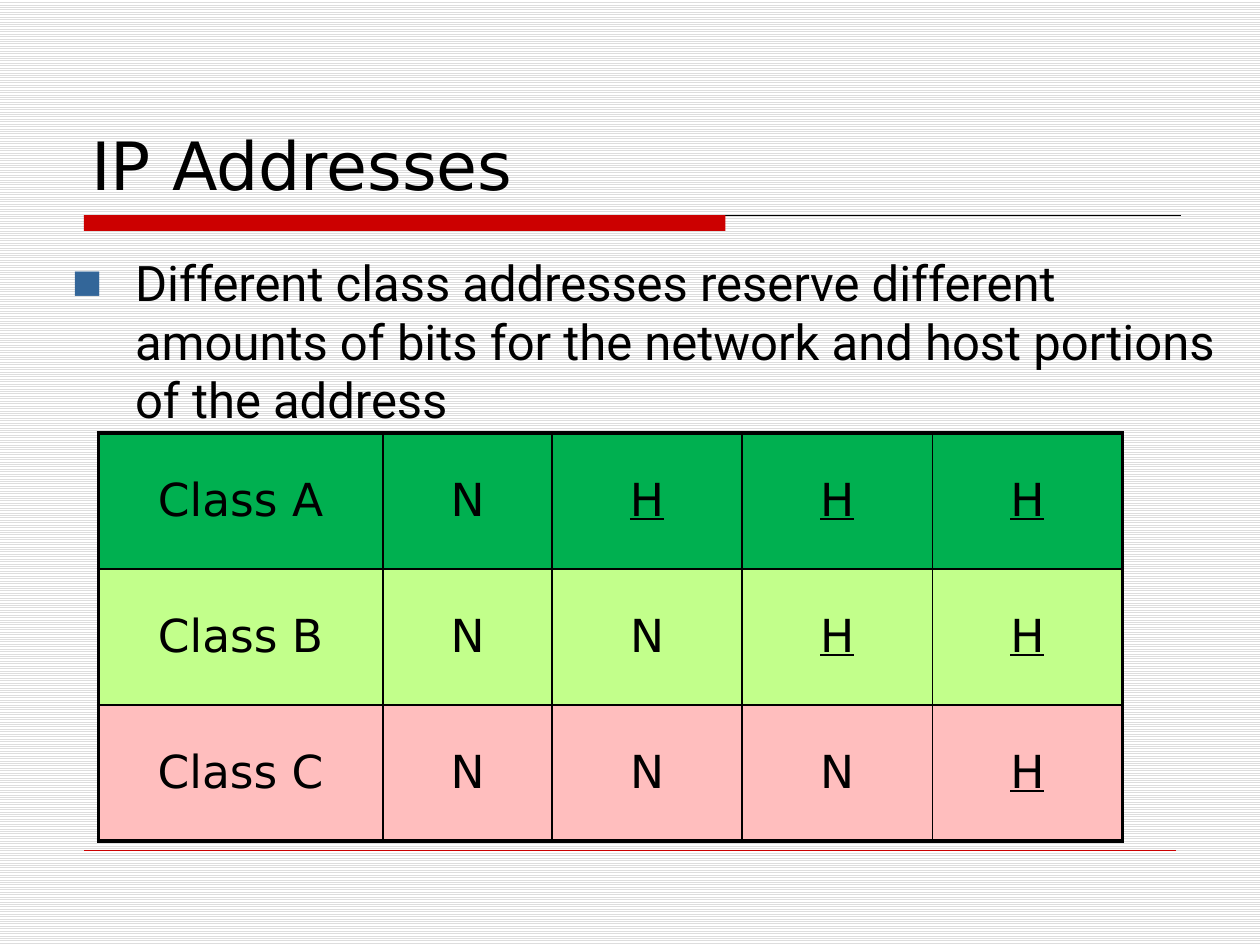
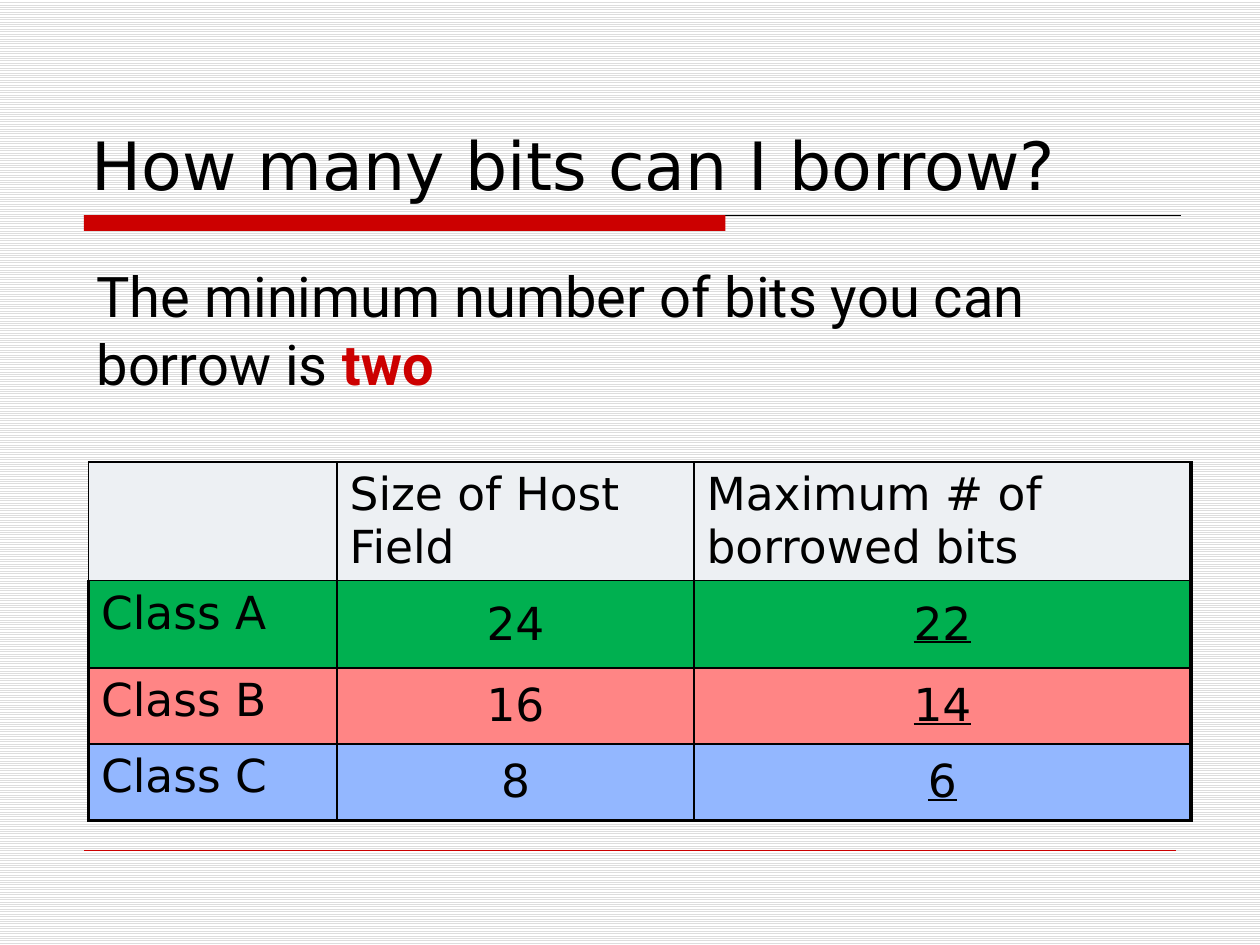
from dataclasses import dataclass

from lxml.etree import SubElement
from pptx import Presentation
from pptx.dml.color import RGBColor
from pptx.enum.dml import MSO_PATTERN
from pptx.enum.shapes import MSO_CONNECTOR, MSO_SHAPE
from pptx.enum.text import MSO_ANCHOR as Anchor, MSO_AUTO_SIZE, PP_ALIGN as Align
from pptx.oxml import parse_xml
from pptx.oxml.ns import nsdecls, qn
from pptx.util import Pt


@dataclass(frozen=True)
class Theme:
    text: str = "000000"
    accent: str = "CC0000"
    bullet: str = "336699"
    stripe: str = "DDDDDD"
    paper: str = "FFFFFF"
    header: str = "EDF0F3"
    green: str = "00B050"
    lime: str = "C2FF8B"
    pink: str = "FFBEBE"
    coral: str = "FF8585"
    blue: str = "93B7FF"
    heading_font: str = "DejaVu Sans"
    body_font: str = "Roboto"
    title_size: float = 38
    lead_size: float = 32
    body_size: float = 28
    cell_size: float = 26
    thin: float = 1
    thick: float = 2.25


T = Theme()


@dataclass(frozen=True)
class Box:
    left: float
    top: float
    width: float
    height: float

    def lengths(self) -> tuple:
        return Pt(self.left), Pt(self.top), Pt(self.width), Pt(self.height)


@dataclass(frozen=True)
class Rule:
    left: float
    right: float
    y: float
    color: str
    weight: float


@dataclass(frozen=True)
class Row:
    texts: tuple
    fill: str
    height: float


@dataclass(frozen=True)
class ClassTable:
    left: float
    top: float
    widths: tuple
    rows: tuple
    underlined: tuple
    left_labels: bool
    top_edge: float


TITLE = Box(45, 24, 630, 96)
BAND = Box(48, 123, 366.5, 9)
RULES = (
    Rule(48, 674.6, 123, T.text, 0.75),
    Rule(48, 672, 486, T.accent, 0.25),
)

PORTIONS = ClassTable(
    56.25, 247.5, (162.7, 96.5, 108.7, 108.7, 108.7),
    (
        Row(("Class A", "N", "H", "H", "H"), T.green, 77.7),
        Row(("Class B", "N", "N", "H", "H"), T.lime, 77.7),
        Row(("Class C", "N", "N", "N", "H"), T.pink, 77.7),
    ),
    underlined=("H",), left_labels=False, top_edge=T.thick,
)

BORROWED = ClassTable(
    50.6, 264, (142, 204, 284),
    (
        Row(("", "Size of Host Field", "Maximum # of borrowed bits"), T.header, 67.8),
        Row(("Class A", "24", "22"), T.green, 50),
        Row(("Class B", "16", "14"), T.coral, 43.5),
        Row(("Class C", "8", "6"), T.blue, 43.5),
    ),
    underlined=("22", "14", "6"), left_labels=True, top_edge=T.thin,
)


def rgb(color: str) -> RGBColor:
    return RGBColor.from_string(color)


def add_run(p, text: str, *, size: float, font: str, color: str = T.text,
            bold: bool = False, underline: bool = False) -> None:
    r = p.add_run()
    r.text = text
    f = r.font
    f.size, f.name, f.bold, f.underline = Pt(size), font, bold, underline
    f.color.rgb = rgb(color)


def place(sp, box: Box, anchor: Anchor):
    sp.left, sp.top, sp.width, sp.height = box.lengths()
    tf = sp.text_frame
    tf.word_wrap = True
    tf.auto_size = MSO_AUTO_SIZE.NONE
    tf.vertical_anchor = anchor
    p = tf.paragraphs[0]
    p.alignment = Align.LEFT
    p.space_before = Pt(0)
    return p


def set_bullet(p, char: str = "", indent: float = 0) -> None:
    pPr = p._p.get_or_add_pPr()
    pPr.set("marL", str(Pt(indent)))
    pPr.set("indent", str(-Pt(indent)))
    if not char:
        SubElement(pPr, qn("a:buNone"))
        return
    SubElement(SubElement(pPr, qn("a:buClr")), qn("a:srgbClr"), val=T.bullet)
    SubElement(pPr, qn("a:buSzPct"), val="65000")
    SubElement(pPr, qn("a:buFont"), typeface=T.heading_font)
    SubElement(pPr, qn("a:buChar"), char=char)


def add_rule(s, rule: Rule) -> None:
    line = s.shapes.add_connector(
        MSO_CONNECTOR.STRAIGHT, Pt(rule.left), Pt(rule.y), Pt(rule.right), Pt(rule.y))
    line.line.color.rgb = rgb(rule.color)
    line.line.width = Pt(rule.weight)
    SubElement(line._element.spPr, qn("a:effectLst"))


def add_slide(prs, title: str):
    s = prs.slides.add_slide(prs.slide_layouts[1])
    for rule in RULES:
        add_rule(s, rule)
    band = s.shapes.add_shape(MSO_SHAPE.RECTANGLE, *BAND.lengths())
    band.shadow.inherit = False
    band.fill.solid()
    band.fill.fore_color.rgb = rgb(T.accent)
    band.line.fill.background()
    p = place(s.shapes.title, TITLE, Anchor.BOTTOM)
    add_run(p, title, size=T.title_size, font=T.heading_font)
    return s


def set_borders(cell, widths: dict) -> None:
    tcPr = cell._tc.get_or_add_tcPr()
    for i, (side, width) in enumerate(widths.items()):
        tcPr.insert(i, parse_xml(
            f'<a:ln{side} {nsdecls("a")} w="{Pt(width)}"><a:solidFill>'
            f'<a:srgbClr val="{T.text}"/></a:solidFill></a:ln{side}>'))


def add_class_table(s, spec: ClassTable) -> None:
    box = Box(spec.left, spec.top, sum(spec.widths), sum(row.height for row in spec.rows))
    last_row, last_col = len(spec.rows) - 1, len(spec.widths) - 1
    table = s.shapes.add_table(last_row + 1, last_col + 1, *box.lengths()).table
    table.first_row = table.horz_banding = False
    for column, width in zip(table.columns, spec.widths):
        column.width = Pt(width)
    for i, row in enumerate(spec.rows):
        table.rows[i].height = Pt(row.height)
        for j, text in enumerate(row.texts):
            cell = table.cell(i, j)
            cell.fill.solid()
            cell.fill.fore_color.rgb = rgb(row.fill)
            left_edge = T.thick if i else spec.top_edge
            set_borders(cell, {
                "L": T.thin if j else left_edge,
                "R": T.thick if j == last_col else T.thin,
                "T": T.thin if i else spec.top_edge,
                "B": T.thick if i == last_row else T.thin,
            })
            is_label = spec.left_labels and 0 in (i, j)
            cell.vertical_anchor = Anchor.TOP if is_label else Anchor.MIDDLE
            p = cell.text_frame.paragraphs[0]
            p.alignment = Align.LEFT if is_label else Align.CENTER
            if text:
                add_run(p, text, size=T.cell_size, font=T.heading_font,
                        underline=text in spec.underlined)


def build_addresses(prs) -> None:
    s = add_slide(prs, "IP Addresses")
    p = place(s.placeholders[1], Box(34, 140.5, 686, 108.7), Anchor.TOP)
    set_bullet(p, "■", 36)
    add_run(p, "Different class addresses reserve different amounts of bits "
               "for the network and host portions of the address",
            size=T.body_size, font=T.body_font)
    add_class_table(s, PORTIONS)


def build_borrowing(prs) -> None:
    s = add_slide(prs, "How many bits can I borrow?")
    add_class_table(s, BORROWED)
    p = place(s.placeholders[1], Box(48, 146, 594, 84), Anchor.TOP)
    set_bullet(p)
    add_run(p, "The minimum number of bits you can borrow is ",
            size=T.lead_size, font=T.body_font)
    add_run(p, "two", size=T.lead_size, font=T.body_font, color=T.accent, bold=True)


def main() -> None:
    prs = Presentation()
    prs.slide_width, prs.slide_height = Pt(720), Pt(540)
    fill = prs.slide_master.background.fill
    fill.patterned()
    fill.pattern = MSO_PATTERN.LIGHT_HORIZONTAL
    fill.fore_color.rgb = rgb(T.stripe)
    fill.back_color.rgb = rgb(T.paper)
    build_addresses(prs)
    build_borrowing(prs)
    prs.save("out.pptx")


if __name__ == "__main__":
    main()
